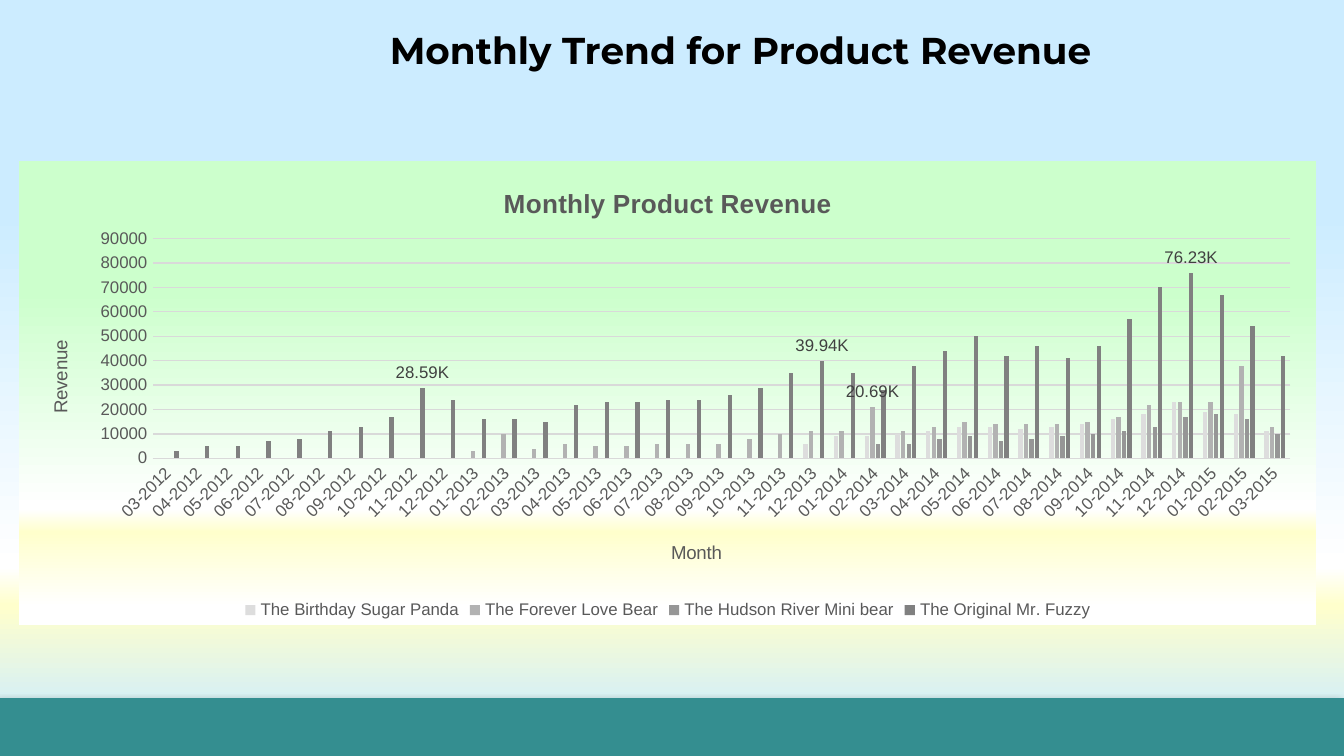
import pptx
import pptx.chart.data
import pptx.dml.color
import pptx.enum.chart
import pptx.enum.shapes
import pptx.enum.text
import pptx.oxml
import pptx.oxml.ns
import pptx.util

Pt = pptx.util.Pt
qn = pptx.oxml.ns.qn
NS = pptx.oxml.ns.nsdecls("a")
CHART_NS = pptx.oxml.ns.nsdecls("c")

COLORS = {
    "sky": "CCECFF", "mint": "CCFFCC", "cream": "FFFFCC", "white": "FFFFFF",
    "teal": "348E90", "black": "000000", "text": "595959", "label": "404040",
    "grid": "D9D9D9", "panda": "DDDDDD", "love": "B2B2B2",
    "mini": "969696", "fuzzy": "808080",
}

MONTHS = [f"{n % 12 + 1:02d}-{2012 + n // 12}" for n in range(2, 39)]

# Revenue in thousands, ending in the last month: name, colour, values, labels
PRODUCTS = [
    ("The Birthday Sugar Panda", "panda",
     [6, 9, 9, 10, 11, 13, 13, 12, 13, 14, 16, 18, 23, 19, 18, 11], {}),
    ("The Forever Love Bear", "love",
     [3, 10, 4, 6, 5, 5, 6, 6, 6, 8, 10, 11, 11, 21, 11, 13, 15, 14, 14, 14,
      15, 17, 22, 23, 23, 38, 13], {"02-2014": "20.69K"}),
    ("The Hudson River Mini bear", "mini",
     [6, 6, 8, 9, 7, 8, 9, 10, 11, 13, 17, 18, 16, 10], {}),
    ("The Original Mr. Fuzzy", "fuzzy",
     [3, 5, 5, 7, 8, 11, 13, 17, 29, 24, 16, 16, 15, 22, 23, 23, 24, 24, 26,
      29, 35, 40, 35, 28, 38, 44, 50, 42, 46, 41, 46, 57, 70, 76, 67, 54, 42],
     {"11-2012": "28.59K", "12-2013": "39.94K", "12-2014": "76.23K"}),
]


def rgb(name):
    return pptx.dml.color.RGBColor.from_string(COLORS[name])


def style_font(font, size, color, bold=False, name="Arial"):
    font.size, font.bold, font.name = Pt(size), bold, name
    font.color.rgb = rgb(color)


def gradient(first, last):
    """Vertical gradient passing through white and cream."""
    stops = [(28, first), (75, "white"), (80, "cream"), (96, last)]
    marks = "".join(
        f'<a:gs pos="{pos * 1000}"><a:srgbClr val="{COLORS[name]}"/></a:gs>'
        for pos, name in stops)
    return pptx.oxml.parse_xml(
        f'<a:gradFill {NS} rotWithShape="1"><a:gsLst>{marks}</a:gsLst>'
        '<a:lin ang="5400000" scaled="0"/></a:gradFill>')


def manual_layout(x, y, w=None, h=None):
    """Chart layout in fractions of the chart's size."""
    inner = '<c:layoutTarget val="inner"/>' if w else ""
    modes = '<c:xMode val="edge"/><c:yMode val="edge"/>'
    sizes = {"x": x, "y": y, "w": w, "h": h}
    parts = "".join(f'<c:{key} val="{value}"/>'
                    for key, value in sizes.items() if value is not None)
    return pptx.oxml.parse_xml(
        f"<c:layout {CHART_NS}><c:manualLayout>{inner}{modes}{parts}"
        "</c:manualLayout></c:layout>")


def set_layout(element, layout, position):
    for old in element.findall(qn("c:layout")):
        element.remove(old)
    element.insert(position, layout)


def write_chart_title(holder, text, size, x, y, bold=False):
    title = holder.chart_title if hasattr(holder, "chart_title") else holder.axis_title
    span = title.text_frame.paragraphs[0].add_run()
    span.text = text
    style_font(span.font, size, "text", bold)
    set_layout(title._element, manual_layout(x, y), 1)


def add_background(page):
    page.background.fill.solid()
    solid = next(page._element.iter(qn("a:solidFill")))
    solid.getparent().replace(solid, gradient("sky", "sky"))


def add_footer_band(page, left, top, width, height):
    band = page.shapes.add_shape(
        pptx.enum.shapes.MSO_SHAPE.RECTANGLE, left, top, width, height)
    band.fill.solid()
    band.fill.fore_color.rgb = rgb("teal")
    band.line.fill.background()
    band.shadow.inherit = False
    effects = band._element.spPr.find(qn("a:effectLst"))
    effects.append(pptx.oxml.parse_xml(
        f'<a:outerShdw {NS} blurRad="{Pt(4)}" dist="{Pt(3)}" dir="8100000">'
        f'<a:srgbClr val="{COLORS["black"]}"><a:alpha val="40000"/></a:srgbClr>'
        '</a:outerShdw>'))


def add_title(page, left, top, width, height):
    box = page.shapes.title
    box.left, box.top, box.width, box.height = left, top, width, height
    frame = box.text_frame
    frame.word_wrap = True
    frame.vertical_anchor = pptx.enum.text.MSO_ANCHOR.TOP
    para = frame.paragraphs[0]
    para.alignment = pptx.enum.text.PP_ALIGN.LEFT
    span = para.add_run()
    span.text = "Monthly Trend for Product Revenue"
    style_font(span.font, 20, "black", True, "Montserrat")


def style_axes(chart):
    months, revenue = chart.category_axis, chart.value_axis
    for axis in (months, revenue):
        axis.major_tick_mark = pptx.enum.chart.XL_TICK_MARK.NONE
        style_font(axis.tick_labels.font, 9, "text")
    months.has_major_gridlines = False
    months._element.find(qn("c:txPr")).find(qn("a:bodyPr")).set("rot", "-2700000")
    revenue.minimum_scale, revenue.maximum_scale = 0, 90000
    revenue.major_unit = 10000
    revenue.format.line.fill.background()
    for line in (months.format.line, revenue.major_gridlines.format.line):
        line.width = Pt(0.75)
        line.color.rgb = rgb("grid")
    write_chart_title(months, "Month", 10, 0.5, 0.81)
    write_chart_title(revenue, "Revenue", 10, 0.02, 0.38)


def style_series(plot):
    plot.vary_by_categories = False
    plot.gap_width, plot.overlap = 219, -27
    for series, (_, color, _, labels) in zip(plot.series, PRODUCTS):
        series.format.fill.solid()
        series.format.fill.fore_color.rgb = rgb(color)
        for month, text in labels.items():
            label = series.points[MONTHS.index(month)].data_label
            span = label.text_frame.paragraphs[0].add_run()
            span.text = text
            style_font(span.font, 9, "label")
            label.position = pptx.enum.chart.XL_LABEL_POSITION.OUTSIDE_END


def add_revenue_chart(page, left, top, width, height):
    data = pptx.chart.data.CategoryChartData()
    data.categories = MONTHS
    for name, _, thousands, _ in PRODUCTS:
        missing = [None] * (len(MONTHS) - len(thousands))
        data.add_series(name, missing + [value * 1000 for value in thousands])
    chart = page.shapes.add_chart(
        pptx.enum.chart.XL_CHART_TYPE.COLUMN_CLUSTERED,
        left, top, width, height, data).chart
    style_font(chart.font, 10, "black")
    chart.has_title = True
    write_chart_title(chart, "Monthly Product Revenue", 14, 0.37, 0.045, True)
    style_axes(chart)
    style_series(chart.plots[0])

    # Legend
    chart.has_legend = True
    chart.legend.position = pptx.enum.chart.XL_LEGEND_POSITION.BOTTOM
    chart.legend.include_in_layout = False
    style_font(chart.legend.font, 9, "text")

    # Plot area and chart background
    space = chart._chartSpace
    set_layout(next(space.iter(qn("c:plotArea"))),
               manual_layout(0.103, 0.168, 0.877, 0.473), 0)
    frame = pptx.oxml.parse_xml(
        f'<c:spPr {CHART_NS} {NS}><a:ln><a:noFill/></a:ln></c:spPr>')
    frame.insert(0, gradient("mint", "white"))
    space.find(qn("c:chart")).addnext(frame)


def main():
    deck = pptx.Presentation()
    deck.slide_width, deck.slide_height = Pt(720), Pt(405)
    page = deck.slides.add_slide(deck.slide_layouts[5])
    add_background(page)
    add_footer_band(page, Pt(0), Pt(374), Pt(720), Pt(31))
    add_revenue_chart(page, Pt(10.2), Pt(86), Pt(695), Pt(249))
    add_title(page, Pt(201.6), Pt(10.8), Pt(422), Pt(31.5))
    deck.save("out.pptx")


if __name__ == "__main__":
    main()
